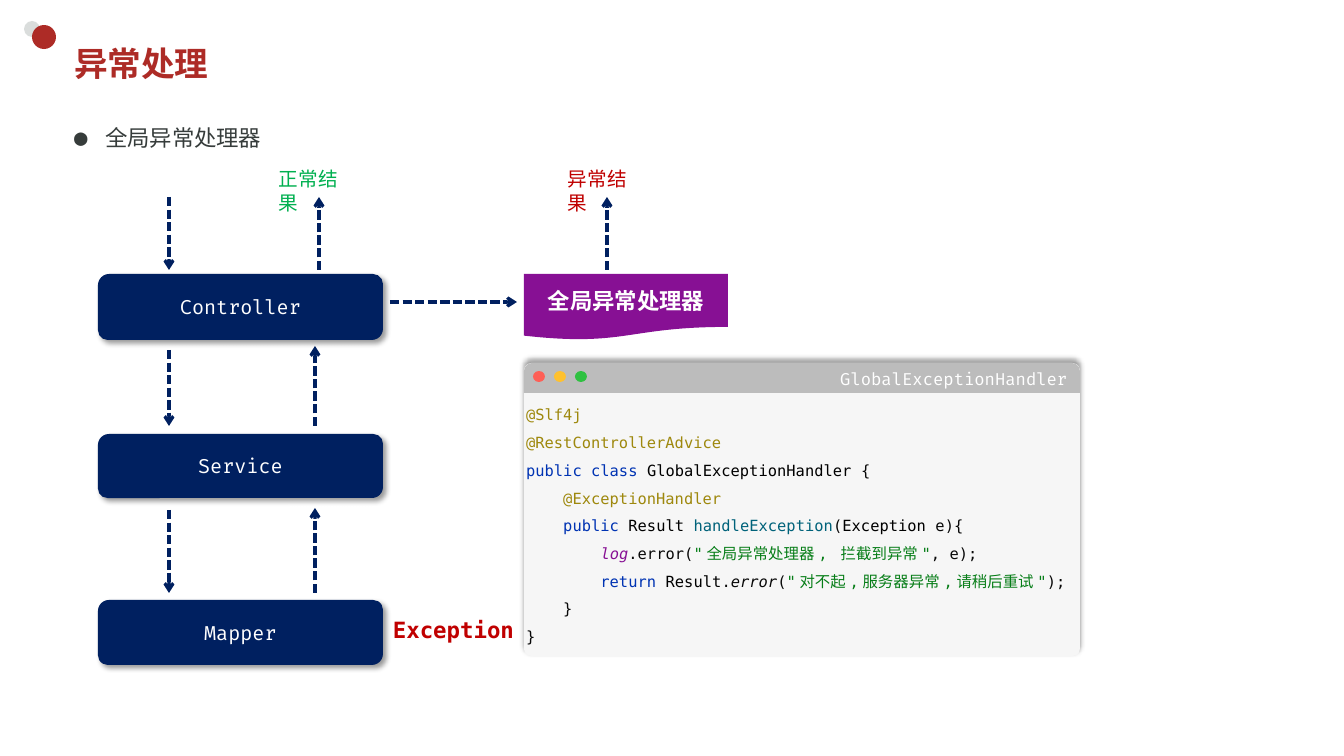
from lxml.etree import SubElement
from pptx import Presentation
from pptx.dml.color import RGBColor
from pptx.enum.dml import MSO_LINE
from pptx.enum.shapes import MSO_CONNECTOR, MSO_SHAPE
from pptx.enum.text import MSO_ANCHOR, MSO_AUTO_SIZE, PP_ALIGN
from pptx.oxml.ns import qn
from pptx.util import Pt

EMU_PER_PX = 914400 / 100.8
MONO, CODE, CJK = "DejaVu Sans Mono", "Fira Code", "Noto Sans CJK JP"

WHITE = RGBColor(0xFF, 0xFF, 0xFF)
BLACK = RGBColor(0x00, 0x00, 0x00)
BRAND_RED = RGBColor(0xAD, 0x2B, 0x26)
PALE_GRAY = RGBColor(0xDA, 0xDD, 0xDC)
BODY_GRAY = RGBColor(0x36, 0x3C, 0x3B)
NAVY = RGBColor(0x00, 0x20, 0x60)
PURPLE = RGBColor(0x87, 0x10, 0x94)
GREEN = RGBColor(0x00, 0xB0, 0x50)
RED = RGBColor(0xC0, 0x00, 0x00)
WINDOW_GRAY = RGBColor(0xF6, 0xF6, 0xF6)
BAR_GRAY = RGBColor(0xBC, 0xBC, 0xBC)
BUTTON_RED = RGBColor(0xFE, 0x5F, 0x56)
BUTTON_YELLOW = RGBColor(0xFF, 0xC1, 0x2E)
BUTTON_GREEN = RGBColor(0x2F, 0xC1, 0x41)
ANNOTATION = RGBColor(0x9E, 0x88, 0x0D)
KEYWORD = RGBColor(0x00, 0x33, 0xB3)
PLAIN = RGBColor(0x08, 0x08, 0x08)
METHOD = RGBColor(0x00, 0x62, 0x7A)
STRING = RGBColor(0x06, 0x7D, 0x17)

# Each code line is a list of (text, colour, italic) tokens.
HANDLER_CODE = [
    [("@Slf4j", ANNOTATION, False)],
    [("@RestControllerAdvice", ANNOTATION, False)],
    [("public class ", KEYWORD, False), ("GlobalExceptionHandler ", BLACK, False),
     ("{", PLAIN, False)],
    [("    @ExceptionHandler", ANNOTATION, False)],
    [("    public ", KEYWORD, False), ("Result ", BLACK, False),
     ("handleException", METHOD, False), ("(", PLAIN, False),
     ("Exception ", BLACK, False), ("e){", PLAIN, False)],
    [("        ", PLAIN, False), ("log", PURPLE, True), (".error(", PLAIN, False),
     ('"全局异常处理器, 拦截到异常"', STRING, False), (", e);", PLAIN, False)],
    [("        return ", KEYWORD, False), ("Result", BLACK, False),
     (".", PLAIN, False), ("error", PLAIN, True), ("(", PLAIN, False),
     ('"对不起,服务器异常,请稍后重试"', STRING, False), (");", PLAIN, False)],
    [("    }", PLAIN, False)],
    [("}", PLAIN, False)],
]


def px(length):
    return round(length * EMU_PER_PX)


def style(paragraph, size, font, color=None, bold=False, align=PP_ALIGN.LEFT):
    """Set the paragraph's alignment and its Latin and East Asian fonts."""
    paragraph.alignment = align
    paragraph.font.size = Pt(size)
    paragraph.font.name = font
    paragraph.font.bold = bold
    if color is not None:
        paragraph.font.color.rgb = color
    defaults = paragraph._p.pPr.find(qn("a:defRPr"))
    SubElement(defaults, qn("a:ea"), typeface=CJK)


def place(placeholder, left, top, width, height):
    placeholder.left, placeholder.top = px(left), px(top)
    placeholder.width, placeholder.height = px(width), px(height)
    placeholder.text_frame.auto_size = MSO_AUTO_SIZE.NONE


def add_block(shapes, kind, box, fill, adjustments=()):
    block = shapes.add_shape(kind, *map(px, box))
    block.shadow.inherit = False
    block.fill.solid()
    block.fill.fore_color.rgb = fill
    block.line.fill.background()
    for index, value in enumerate(adjustments):
        block.adjustments[index] = value
    return block


def write(block, text, size, font, bold=False, align=PP_ALIGN.CENTER):
    frame = block.text_frame
    frame.word_wrap = True
    frame.vertical_anchor = MSO_ANCHOR.MIDDLE
    frame.text = text
    style(frame.paragraphs[0], size, font, WHITE, bold, align)


def cast_shadow(block, degrees):
    effects = block._element.spPr.find(qn("a:effectLst"))
    shadow = SubElement(effects, qn("a:outerShdw"), blurRad=str(Pt(4)),
                        dist=str(Pt(3)), dir=str(degrees * 60000),
                        algn="ctr", rotWithShape="0")
    color = SubElement(shadow, qn("a:srgbClr"), val=str(BLACK))
    SubElement(color, qn("a:alpha"), val="40000")


def add_label(shapes, box, text, size, font, color, bold=False):
    frame = shapes.add_textbox(*map(px, box)).text_frame
    frame.word_wrap = True
    frame.text = text
    style(frame.paragraphs[0], size, font, color, bold)


def add_arrow(shapes, *ends):
    """Draw a dashed arrow from (x1, y1) to (x2, y2), pointing at the latter."""
    arrow = shapes.add_connector(MSO_CONNECTOR.STRAIGHT, *map(px, ends))
    arrow.line.color.rgb = NAVY
    arrow.line.width = Pt(2.25)
    arrow.line.dash_style = MSO_LINE.SQUARE_DOT
    properties = arrow._element.spPr
    SubElement(properties.find(qn("a:ln")), qn("a:tailEnd"), type="arrow")
    SubElement(properties, qn("a:effectLst"))


def add_heading(slide):
    title = slide.shapes.title
    place(title, 64, 37, 1184, 52)
    title.text_frame.text = "异常处理"
    title.text_frame.vertical_anchor = MSO_ANCHOR.MIDDLE
    style(title.text_frame.paragraphs[0], 24, MONO, BRAND_RED, True)

    topic = slide.placeholders[1]
    place(topic, 64, 106, 1220, 52)
    topic.text_frame.text = "全局异常处理器"
    bullet = topic.text_frame.paragraphs[0]
    bullet.line_spacing = 1.5
    bullet.space_before = Pt(0)
    properties = bullet._p.get_or_add_pPr()
    properties.set("marL", str(px(31)))
    properties.set("indent", str(px(-31)))
    SubElement(properties, qn("a:buFont"), typeface=MONO)
    SubElement(properties, qn("a:buChar"), char="●")
    style(bullet, 16, MONO, BODY_GRAY)


def add_code_window(shapes):
    window = shapes.add_group_shape().shapes
    pane = add_block(window, MSO_SHAPE.ROUNDED_RECTANGLE, (524, 363, 556, 293),
                     WINDOW_GRAY, [0.025])
    cast_shadow(pane, 270)
    frame = pane.text_frame
    frame.word_wrap = True
    frame.vertical_anchor = MSO_ANCHOR.TOP
    frame.margin_left = frame.margin_right = frame.margin_bottom = 0
    frame.margin_top = px(31)
    listing = frame.paragraphs[0]
    listing.line_spacing = 1.5
    style(listing, 11, MONO)
    for number, tokens in enumerate(HANDLER_CODE):
        if number:
            listing.add_line_break()
        for text, color, italic in tokens:
            run = listing.add_run()
            run.text = text
            run.font.color.rgb = color
            run.font.italic = italic

    bar = add_block(window, MSO_SHAPE.ROUND_2_SAME_RECTANGLE, (524, 363, 556, 30),
                    BAR_GRAY, [0.27, 0])
    write(bar, "GlobalExceptionHandler", 12, CODE, align=PP_ALIGN.RIGHT)
    for index, color in enumerate((BUTTON_RED, BUTTON_YELLOW, BUTTON_GREEN)):
        add_block(window, MSO_SHAPE.OVAL, (533 + 21 * index, 371, 12, 11), color)


def main():
    deck = Presentation()
    deck.slide_width, deck.slide_height = px(1344), px(756)
    slide = deck.slides.add_slide(deck.slide_layouts[1])
    shapes = slide.shapes

    add_block(shapes, MSO_SHAPE.OVAL, (24, 21, 16, 16), PALE_GRAY)
    add_block(shapes, MSO_SHAPE.OVAL, (32, 25, 24, 24), BRAND_RED)
    add_heading(slide)

    for name, top, height in (("Controller", 274, 66), ("Service", 434, 64),
                              ("Mapper", 600, 65)):
        layer = add_block(shapes, MSO_SHAPE.ROUND_2_DIAG_RECTANGLE,
                          (98, top, 285, height), NAVY, [0.17, 0.15])
        cast_shadow(layer, 45)
        write(layer, name, 14, CODE)

    handler = add_block(shapes, MSO_SHAPE.FLOWCHART_DOCUMENT, (524, 274, 204, 66), PURPLE)
    write(handler, "全局异常处理器", 16, CJK, True)

    for start, end in ((197, 270), (350, 426), (510, 593)):
        add_arrow(shapes, 169, start, 169, end)
    for x, start, end in ((315, 593, 508), (315, 426, 346), (319, 270, 197),
                          (607, 270, 197)):
        add_arrow(shapes, x, start, x, end)
    add_arrow(shapes, 390, 302, 517, 302)

    add_label(shapes, (269, 162, 98, 34), "正常结果", 14, CJK, GREEN)
    add_label(shapes, (558, 162, 98, 34), "异常结果", 14, CJK, RED)
    add_code_window(shapes)
    add_label(shapes, (383, 611, 144, 37), "Exception", 16, MONO, RED, True)
    deck.save("out.pptx")


if __name__ == "__main__":
    main()
